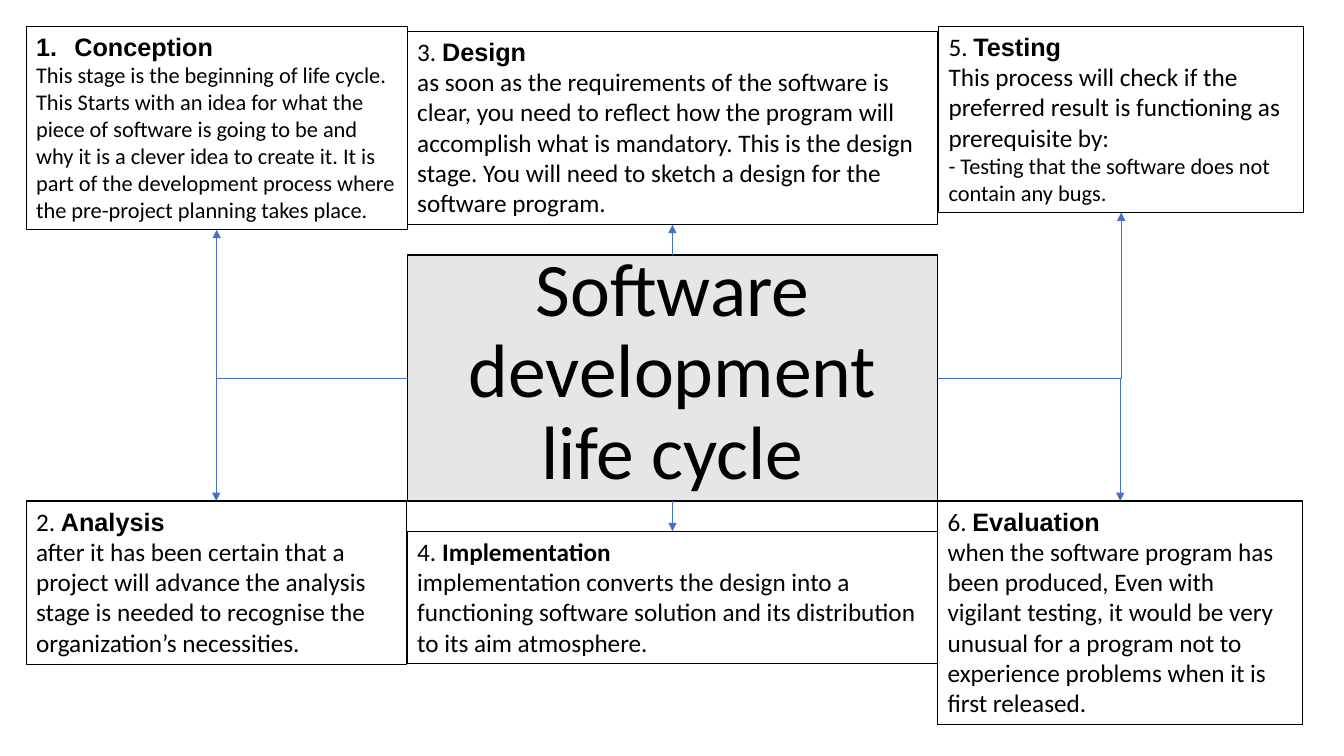
from lxml import etree
from pptx import Presentation
from pptx.dml.color import RGBColor
from pptx.enum.shapes import MSO_CONNECTOR
from pptx.enum.text import MSO_ANCHOR, MSO_AUTO_SIZE, PP_ALIGN
from pptx.oxml.ns import qn
from pptx.util import Inches, Pt

STRAIGHT, ELBOW = MSO_CONNECTOR.STRAIGHT, MSO_CONNECTOR.ELBOW
BOTTOM, CENTER = MSO_ANCHOR.BOTTOM, PP_ALIGN.CENTER
NO_FIT, GROW = MSO_AUTO_SIZE.NONE, MSO_AUTO_SIZE.SHAPE_TO_FIT_TEXT
TOP_SITE, LEFT_SITE, BOTTOM_SITE, RIGHT_SITE = range(4)
BLACK, GREY, BLUE = "000000", "E7E6E6", "4472C4"
HUB_BOX = (4.04, 2.53, 5.26, 2.44)

# Each stage: box, number, heading, heading font, body lines with sizes, hub side, stage side
STAGES = [
    ((0.26, 0.26, 3.78, 2.02), None, "Conception", "Arial",
     [("This stage is the beginning of life cycle. This Starts with an idea for what the "
       "piece of software is going to be and why it is a clever idea to create it. It is "
       "part of the development process where the pre-project planning takes place.", 16)],
     LEFT_SITE, BOTTOM_SITE),
    ((0.26, 4.97, 3.77, 1.62), "2. ", "Analysis", "Arial",
     [("after it has been certain that a project will advance the analysis stage is needed "
       "to recognise the organization’s necessities.", 18)],
     LEFT_SITE, TOP_SITE),
    ((4.04, 0.31, 5.26, 1.92), "3. ", "Design", "Arial",
     [("as soon as the requirements of the software is clear, you need to reflect how the "
       "program will accomplish what is mandatory. This is the design stage. You will need "
       "to sketch a design for the software program.", 18)],
     TOP_SITE, BOTTOM_SITE),
    ((4.04, 5.27, 5.26, 1.31), "4. ", "Implementation", "Calibri",
     [("implementation converts the design into a functioning software solution and its "
       "distribution to its aim atmosphere.", 18)],
     BOTTOM_SITE, TOP_SITE),
    ((9.31, 0.26, 3.62, 1.85), "5. ", "Testing", "Arial",
     [("This process will check if the preferred result is functioning as prerequisite by:", 18),
      ("- Testing that the software does not contain any bugs.", 16)],
     RIGHT_SITE, BOTTOM_SITE),
    ((9.3, 4.97, 3.62, 2.22), "6. ", "Evaluation", "Arial",
     [("when the software program has been produced, Even with vigilant testing, it would "
       "be very unusual for a program not to experience problems when it is first "
       "released.", 18)],
     RIGHT_SITE, TOP_SITE),
]


def color(hex_string):
    """Turn a hex string into a colour."""
    return RGBColor.from_string(hex_string)


def add_run(paragraph, text, size, font="Calibri", bold=False):
    """Append one formatted run of black text."""
    run = paragraph.add_run()
    run.text = text
    run.font.size = Pt(size)
    run.font.name = font
    run.font.bold = bold
    run.font.color.rgb = color(BLACK)


def outline(region, hex_string, width):
    """Give a shape or connector its line."""
    region.line.color.rgb = color(hex_string)
    region.line.width = Pt(width)


def number_heading(paragraph):
    """Number a heading automatically with a hanging indent."""
    properties = paragraph._p.get_or_add_pPr()
    properties.set("marL", str(Inches(0.38)))
    properties.set("indent", str(Inches(-0.38)))
    etree.SubElement(properties, qn("a:buFont"), typeface="+mj-lt")
    etree.SubElement(properties, qn("a:buAutoNum"), type="arabicPeriod")


def place_hub(slide, box):
    """Move and format the title placeholder as the central hub."""
    hub = slide.shapes.title
    hub.left, hub.top, hub.width, hub.height = map(Inches, box)
    hub.fill.solid()
    hub.fill.fore_color.rgb = color(GREY)
    outline(hub, BLACK, 1)
    frame = hub.text_frame
    frame.auto_size = NO_FIT
    frame.word_wrap = True
    frame.vertical_anchor = BOTTOM
    title = frame.paragraphs[0]
    title.alignment = CENTER
    title.line_spacing = 0.9
    add_run(title, "Software development life cycle", 54)
    return hub


def add_stage(slide, box, number, heading, heading_font, body):
    """Add one outlined stage with its heading and body lines."""
    stage = slide.shapes.add_textbox(*map(Inches, box))
    outline(stage, BLACK, 0.75)
    frame = stage.text_frame
    frame.word_wrap = True
    frame.auto_size = GROW
    first_line = frame.paragraphs[0]
    if number:
        add_run(first_line, number, 18)
    else:
        number_heading(first_line)
    add_run(first_line, heading, 18, heading_font, True)
    for text, size in body:
        add_run(frame.add_paragraph(), text, size)
    return stage


def add_arrow(slide, hub, hub_site, stage, stage_site):
    """Link the hub to a stage, with one bend when leaving sideways."""
    sideways = hub_site in (LEFT_SITE, RIGHT_SITE)
    arrow = slide.shapes.add_connector(ELBOW if sideways else STRAIGHT, 0, 0, 0, 0)
    arrow.begin_connect(hub, hub_site)
    arrow.end_connect(stage, stage_site)
    outline(arrow, BLUE, 0.5)
    properties = arrow._element.spPr
    if sideways:
        properties.find(qn("a:prstGeom")).set("prst", "bentConnector2")
    etree.SubElement(properties.find(qn("a:ln")), qn("a:tailEnd"), type="triangle")
    etree.SubElement(properties, qn("a:effectLst"))


def build_life_cycle(deck):
    """Build the slide of six stages around the hub."""
    slide = deck.slides.add_slide(deck.slide_layouts[0])
    subtitle = slide.placeholders[1]._element
    subtitle.getparent().remove(subtitle)
    hub = place_hub(slide, HUB_BOX)
    for *content, hub_site, stage_site in STAGES:
        stage = add_stage(slide, *content)
        add_arrow(slide, hub, hub_site, stage, stage_site)


def main():
    """Create and save the deck."""
    deck = Presentation()
    deck.slide_width, deck.slide_height = Inches(13.33), Inches(7.5)
    build_life_cycle(deck)
    deck.save("out.pptx")


if __name__ == "__main__":
    main()
